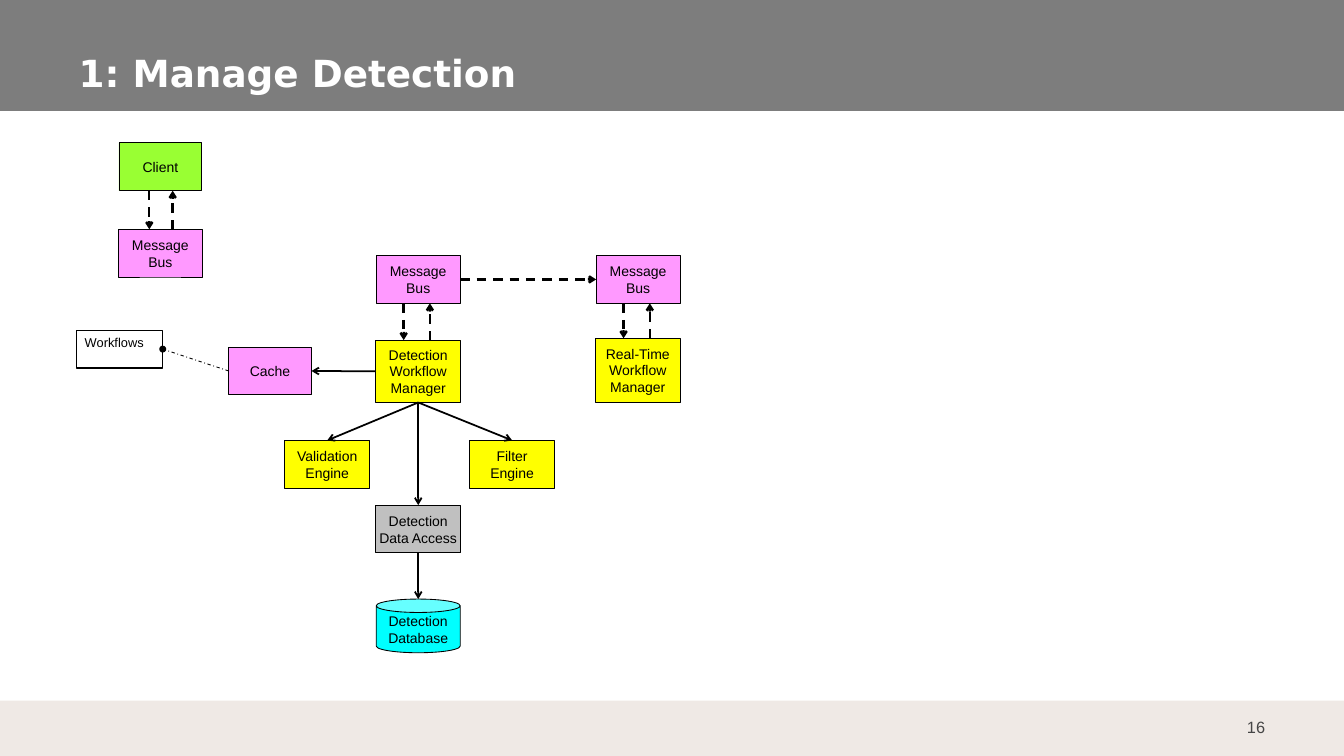
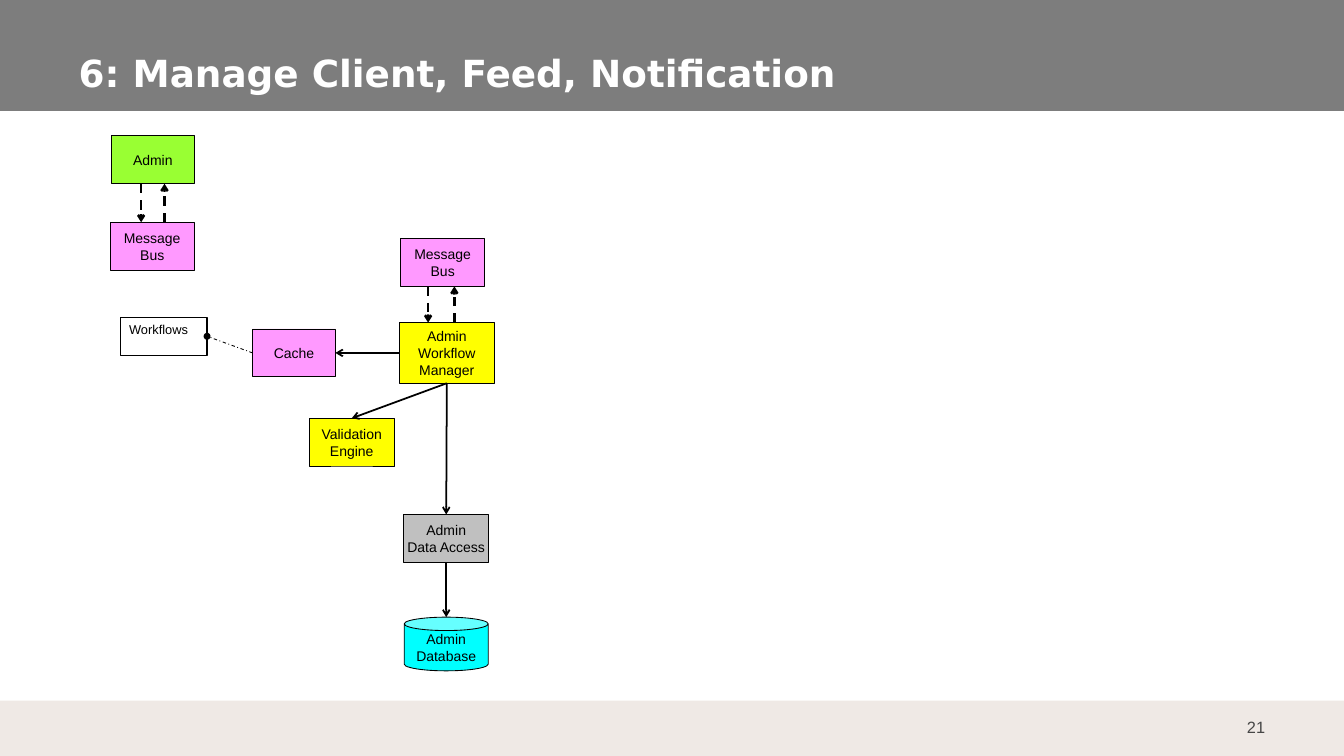
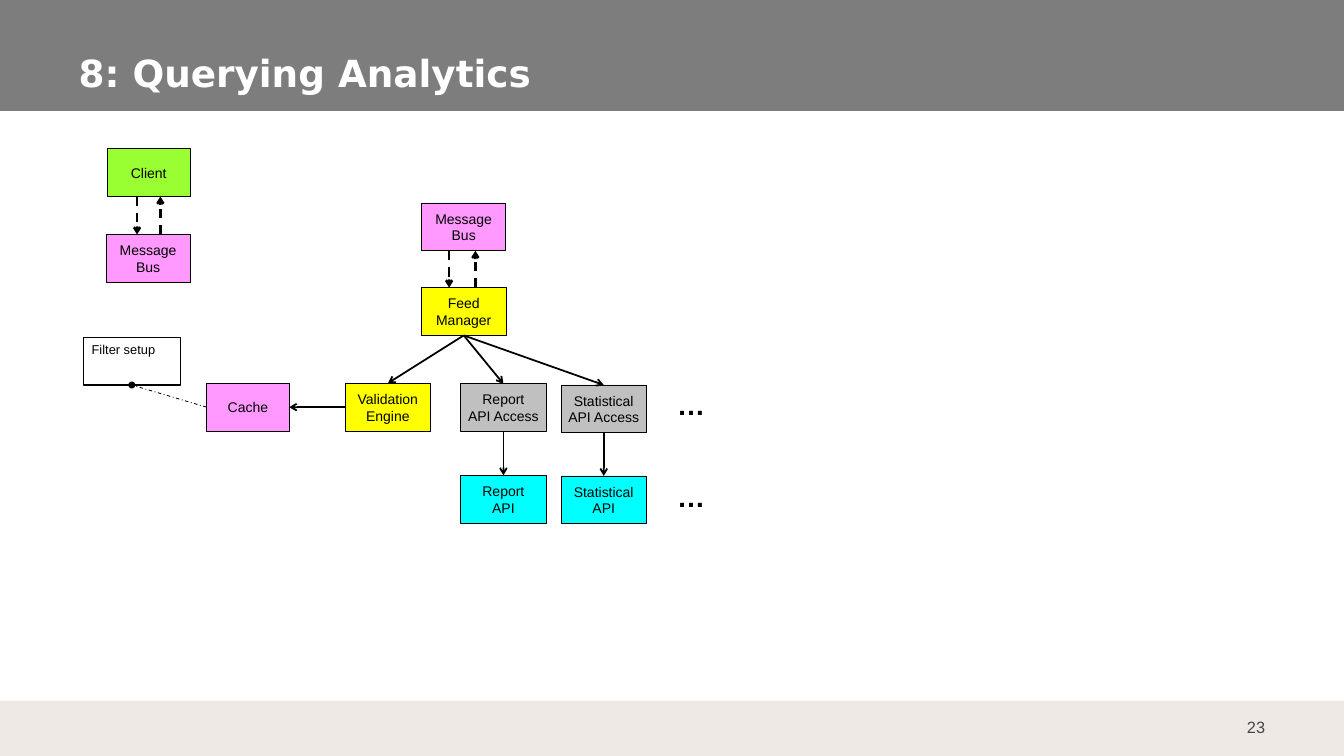
from dataclasses import dataclass

from lxml import etree
from pptx import Presentation
from pptx.dml.color import RGBColor
from pptx.enum import dml, shapes, text
from pptx.oxml.ns import qn
from pptx.util import Pt


@dataclass(frozen=True)
class Theme:
    band: str = "7D7D7D"
    footer: str = "EFE9E5"
    title: str = "FFFFFF"
    number: str = "464646"
    ink: str = "000000"
    title_font: str = "DejaVu Sans"
    body_font: str = "Arial"
    title_size: float = 32
    dots_size: float = 24
    number_size: float = 14
    node_size: float = 12
    note_size: float = 11


T = Theme()
SLIDE_W, SLIDE_H = 1152, 648
BAND_H, FOOTER_H = 95, 47.5
RECT, CAN = shapes.MSO_SHAPE.RECTANGLE, shapes.MSO_SHAPE.CAN
LEFT, CENTER, RIGHT = text.PP_ALIGN.LEFT, text.PP_ALIGN.CENTER, text.PP_ALIGN.RIGHT
TOP, MIDDLE, BOTTOM = text.MSO_ANCHOR.TOP, text.MSO_ANCHOR.MIDDLE, text.MSO_ANCHOR.BOTTOM

# kind: fill, preset shape, default width, default height
KINDS = {
    "client": ("99FF33", RECT, 71, 41),
    "bus": ("FF99FF", RECT, 72, 41),
    "cache": ("FF99FF", RECT, 71, 41),
    "service": ("FFFF00", RECT, 73, 41),
    "access": ("C0C0C0", RECT, 73, 41),
    "api": ("00FFFF", RECT, 73, 41),
    "database": ("00FFFF", CAN, 72, 46),
    "note": ("FFFFFF", RECT, 74, 32.5),
}

# style: line width, dash, head at the far end
LINKS = {
    "call": (1.5, None, "arrow"),
    "message": (2, dml.MSO_LINE.DASH, "arrow"),
    "note": (0.75, dml.MSO_LINE.DASH_DOT, "oval"),
}

# Connection sites of a rectangle, with their place as a share of its size
SIDES = {"top": (0, 0.5, 0), "left": (1, 0, 0.5), "bottom": (2, 0.5, 1), "right": (3, 1, 0.5)}

# Distance of the down and up arrows from the left of the message bus
CLIENT_PAIR, MANAGER_PAIR = (26.5, 46.5), (23.5, 46)

# nodes: kind, text, left, top and, where not the default, width and height
# links: style, from, side, to, side
# calls: caller and the nodes below it
# pairs: upper node, lower node, bus, arrow offsets
SLIDES = [
    {
        "title": "1: Manage Detection",
        "number": "16",
        "nodes": {
            "client": ("client", "Client", 102, 122.5),
            "client bus": ("bus", "Message\nBus", 101.5, 196.5),
            "manager bus": ("bus", "Message\nBus", 322.5, 219),
            "real-time bus": ("bus", "Message\nBus", 511, 219),
            "manager": ("service", "Detection\nWorkflow\nManager", 322, 291.5, 73, 53.5),
            "real-time": ("service", "Real-Time\nWorkflow\nManager", 510.5, 290, 72.5, 55),
            "cache": ("cache", "Cache", 196, 297.5),
            "note": ("note", "Workflows", 65.5, 283),
            "validation": ("service", "Validation\nEngine", 244, 377.5),
            "filter": ("service", "Filter\nEngine", 402.5, 377.5),
            "access": ("access", "Detection\nData Access", 322, 433),
            "database": ("database", "Detection\nDatabase", 322.5, 513.5),
        },
        "links": [
            ("call", "manager", "left", "cache", "right"),
            ("note", "cache", "left", "note", "right"),
            ("message", "manager bus", "right", "real-time bus", "left"),
        ],
        "calls": {"manager": ["validation", "access", "filter"], "access": ["database"]},
        "pairs": [
            ("client", "client bus", "client bus", CLIENT_PAIR),
            ("manager bus", "manager", "manager bus", MANAGER_PAIR),
            ("real-time bus", "real-time", "real-time bus", MANAGER_PAIR),
        ],
        "dots": [],
    },
    {
        "title": "6: Manage Client, Feed, Notification",
        "number": "21",
        "nodes": {
            "admin": ("client", "Admin", 95.5, 116.5),
            "admin bus": ("bus", "Message\nBus", 94.5, 190.5),
            "manager bus": ("bus", "Message\nBus", 343.5, 204.5),
            "manager": ("service", "Admin\nWorkflow\nManager", 342, 276.5, 82, 52),
            "cache": ("cache", "Cache", 216.5, 282),
            "note": ("note", "Workflows", 103.5, 272),
            "validation": ("service", "Validation\nEngine", 265, 358.5),
            "access": ("access", "Admin\nData Access", 346, 441),
            "database": ("database", "Admin\nDatabase", 346.5, 529),
        },
        "links": [
            ("call", "manager", "left", "cache", "right"),
            ("note", "cache", "left", "note", "right"),
        ],
        "calls": {"manager": ["validation", "access"], "access": ["database"]},
        "pairs": [
            ("admin", "admin bus", "admin bus", CLIENT_PAIR),
            ("manager bus", "manager", "manager bus", MANAGER_PAIR),
        ],
        "dots": [],
    },
    {
        "title": "8: Querying Analytics",
        "number": "23",
        "nodes": {
            "client": ("client", "Client", 92, 127.5),
            "client bus": ("bus", "Message\nBus", 91, 201),
            "manager bus": ("bus", "Message\nBus", 361.5, 174),
            "manager": ("service", "Feed\nManager", 361, 246.5),
            "cache": ("cache", "Cache", 177, 328.5),
            "note": ("note", "Filter setup", 71.5, 289.5, 83, 40.5),
            "validation": ("service", "Validation\nEngine", 296, 328.5),
            "report access": ("access", "Report\nAPI Access", 395, 329),
            "statistical access": ("access", "Statistical\nAPI Access", 481, 330),
            "report": ("api", "Report\nAPI", 395, 407.5),
            "statistical": ("api", "Statistical\nAPI", 481, 408),
        },
        "links": [
            ("call", "validation", "left", "cache", "right"),
            ("note", "cache", "left", "note", "bottom"),
        ],
        "calls": {
            "manager": ["validation", "report access", "statistical access"],
            "report access": ["report"],
            "statistical access": ["statistical"],
        },
        "pairs": [
            ("client", "client bus", "client bus", CLIENT_PAIR),
            ("manager bus", "manager", "manager bus", MANAGER_PAIR),
        ],
        "dots": [(566.5, 328.5), (566.5, 407.5)],
    },
]


def rgb(value):
    return RGBColor.from_string(value)


def write(sp, content, size, color=T.ink, font=T.body_font, bold=False,
          align=CENTER, anchor=MIDDLE, wrap=True, inset=(7.2, 3.6)):
    tf = sp.text_frame
    tf.word_wrap = wrap
    tf.auto_size = text.MSO_AUTO_SIZE.NONE
    tf.vertical_anchor = anchor
    tf.margin_left = tf.margin_right = Pt(inset[0])
    tf.margin_top = tf.margin_bottom = Pt(inset[1])
    for i, line in enumerate(content.split("\n")):
        p = tf.add_paragraph() if i else tf.paragraphs[0]
        p.alignment = align
        r = p.add_run()
        r.text = line
        r.font.name, r.font.size, r.font.bold = font, Pt(size), bold
        r.font.color.rgb = rgb(color)


def add_box(s, preset, box, fill, line_width=None):
    sp = s.shapes.add_shape(preset, *map(Pt, box))
    sp.shadow.inherit = False
    sp.fill.solid()
    sp.fill.fore_color.rgb = rgb(fill)
    if line_width:
        sp.line.color.rgb = rgb(T.ink)
        sp.line.width = Pt(line_width)
    else:
        sp.line.fill.background()
    return sp


def add_bands(s, master):
    """Draw the two bands and move them to the master, behind everything."""
    bands = [
        ((0, 0, SLIDE_W, BAND_H), T.band),
        ((0, SLIDE_H - FOOTER_H, SLIDE_W, FOOTER_H), T.footer),
    ]
    for i, (box, fill) in enumerate(bands):
        sp = add_box(s, RECT, box, fill)
        sp.element.nvSpPr.cNvPr.set("id", str(101 + i))
        master.shapes.element.insert(2 + i, sp.element)


def add_frame(s, title, number):
    """Fill the title and set the slide number."""
    sp = s.shapes.title
    sp.left, sp.top, sp.width, sp.height = map(Pt, (57.5, 33, 1023, 53.5))
    write(sp, title, T.title_size, T.title, T.title_font, True, LEFT, BOTTOM, inset=(10, 5))
    sp = s.shapes.add_textbox(*map(Pt, (1037, 606, 57.5, 34.5)))
    write(sp, number, T.number_size, T.number, align=RIGHT, inset=(10, 5))


def add_node(s, kind, content, left, top, width=None, height=None):
    fill, preset, default_w, default_h = KINDS[kind]
    box = (left, top, width or default_w, height or default_h)
    is_note = kind == "note"
    sp = add_box(s, preset, box, fill, 1 if is_note else 0.75)
    if is_note:
        write(sp, content, T.note_size, align=LEFT, anchor=TOP)
    else:
        write(sp, content, T.node_size, wrap=False)
    return sp


def add_line(s, style, start, end):
    width, dash, head = LINKS[style]
    c = s.shapes.add_connector(shapes.MSO_CONNECTOR.STRAIGHT, *start, *end)
    c.line.color.rgb = rgb(T.ink)
    c.line.width = Pt(width)
    if dash:
        c.line.dash_style = dash
    sp_pr = c.element.spPr
    etree.SubElement(sp_pr.find(qn("a:ln")), qn("a:tailEnd"), type=head)
    etree.SubElement(sp_pr, qn("a:effectLst"))
    return c


def side_point(sp, side):
    _, fx, fy = SIDES[side]
    return int(sp.left + fx * sp.width), int(sp.top + fy * sp.height)


def add_link(s, style, source, source_side, target, target_side):
    c = add_line(s, style, side_point(source, source_side), side_point(target, target_side))
    c.begin_connect(source, SIDES[source_side][0])
    # The sites of a can are numbered differently, so its end stays free
    if target.auto_shape_type != CAN:
        c.end_connect(target, SIDES[target_side][0])


def add_pair(s, upper, lower, bus, offsets):
    """Draw a request down and a reply up between two nodes."""
    down, up = (bus.left + Pt(d) for d in offsets)
    y1, y2 = upper.top + upper.height, lower.top
    add_line(s, "message", (down, y1), (down, y2))
    add_line(s, "message", (up, y2), (up, y1))


def add_diagram(s, data):
    nodes = {name: add_node(s, *node) for name, node in data["nodes"].items()}
    for style, a, a_side, b, b_side in data["links"]:
        add_link(s, style, nodes[a], a_side, nodes[b], b_side)
    for caller, targets in data["calls"].items():
        for target in targets:
            add_link(s, "call", nodes[caller], "bottom", nodes[target], "top")
    for *names, offsets in data["pairs"]:
        add_pair(s, *(nodes[name] for name in names), offsets)
    for left, top in data["dots"]:
        sp = s.shapes.add_textbox(*map(Pt, (left, top, 52, 36)))
        write(sp, "…", T.dots_size, bold=True, anchor=TOP)


def main():
    prs = Presentation()
    prs.slide_width, prs.slide_height = Pt(SLIDE_W), Pt(SLIDE_H)
    layout = prs.slide_layouts.get_by_name("Title Only")
    for i, data in enumerate(SLIDES):
        s = prs.slides.add_slide(layout)
        if i == 0:
            add_bands(s, prs.slide_master)
        add_frame(s, data["title"], data["number"])
        add_diagram(s, data)
    prs.save("out.pptx")


if __name__ == "__main__":
    main()
